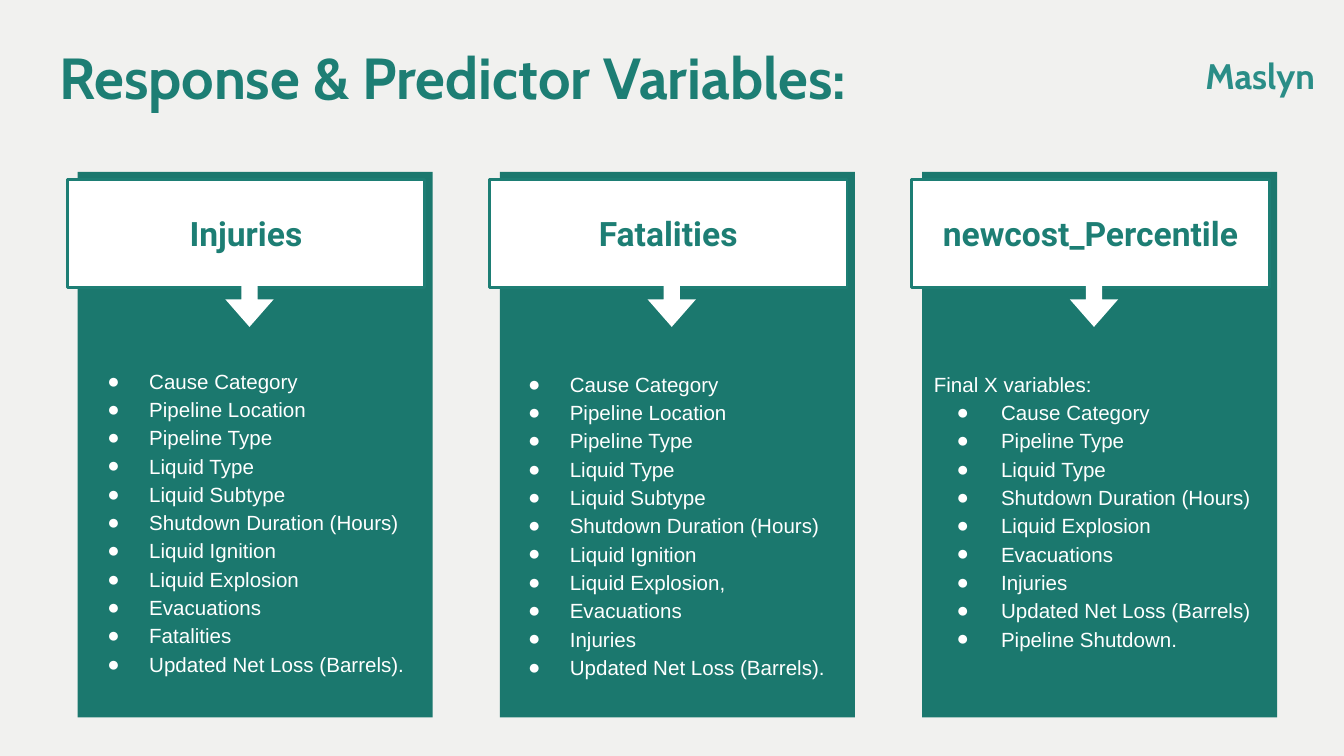
"""Build the response and predictor variables slide."""
from dataclasses import dataclass

from lxml import etree
from pptx import Presentation
from pptx import util as u
from pptx.dml.color import RGBColor
from pptx.enum import shapes, text
from pptx.oxml import ns

COLORS = {
    "page": "F1F1EF",
    "card": "1B786E",
    "accent": "1D7E74",
    "brand": "2A8D87",
    "white": "FFFFFF",
}
CARD_STEP = 7.98


@dataclass(frozen=True)
class Style:
    font: str
    size: float
    color: str
    bold: bool = True


@dataclass(frozen=True)
class Place:
    left: float
    top: float
    width: float
    height: float

    def lengths(self) -> tuple:
        return tuple(u.Cm(n) for n in (self.left, self.top, self.width, self.height))

    def shifted(self, distance: float) -> "Place":
        return Place(self.left + distance, self.top, self.width, self.height)


@dataclass(frozen=True)
class Card:
    heading: str
    variables: tuple[str, ...]
    place: Place
    hanging: float = 0.79
    intro: str = ""


TITLE = Style("Cabin", 31, "accent")
BRAND = Style("Cabin", 19, "brand")
HEADING = Style("Roboto", 18, "accent")
BODY = Style("Arial", 11, "white", False)

PANEL = Place(1.47, 3.25, 6.71, 10.31)
HEADER = Place(1.27, 3.4, 6.76, 2.03)
ARROW = Place(4.22, 5.23, 0.99, 0.91)

COMMON = ("Cause Category", "Pipeline Location", "Pipeline Type", "Liquid Type",
          "Liquid Subtype", "Shutdown Duration (Hours)", "Liquid Ignition")
CARDS = (
    Card("Injuries",
         COMMON + ("Liquid Explosion", "Evacuations", "Fatalities",
                   "Updated Net Loss (Barrels)."),
         Place(1.3, 6.65, 6.71, 6.2)),
    Card("Fatalities",
         COMMON + ("Liquid Explosion,", "Evacuations", "Injuries",
                   "Updated Net Loss (Barrels)."),
         Place(9.25, 6.71, 8.33, 6.4)),
    Card("newcost_Percentile",
         ("Cause Category", "Pipeline Type", "Liquid Type",
          "Shutdown Duration (Hours)", "Liquid Explosion", "Evacuations",
          "Injuries", "Updated Net Loss (Barrels)", "Pipeline Shutdown."),
         Place(17.4, 6.71, 8.33, 5.84), 0.84, "Final X variables:"),
)


def color(name: str) -> RGBColor:
    return RGBColor.from_string(COLORS[name])


def set_frame(frame, inset: float, anchor=text.MSO_ANCHOR.TOP) -> None:
    frame.word_wrap = True
    frame.auto_size = text.MSO_AUTO_SIZE.NONE
    frame.vertical_anchor = anchor
    frame.margin_left = frame.margin_right = u.Cm(inset)
    frame.margin_top = frame.margin_bottom = u.Cm(inset)


def add_span(para, words: str, style: Style) -> None:
    span = para.add_run()
    span.text = words
    span.font.name = style.font
    span.font.size = u.Pt(style.size)
    span.font.bold = style.bold
    span.font.color.rgb = color(style.color)


def write_line(frame, words: str, style: Style, spacing: float) -> None:
    set_frame(frame, 0)
    para = frame.paragraphs[0]
    para.alignment = text.PP_ALIGN.LEFT
    para.line_spacing = spacing
    add_span(para, words, style)


def add_bullet(para, hanging: float) -> None:
    props = para._p.get_or_add_pPr()
    props.set("marL", str(u.Cm(1.27)))
    props.set("indent", str(-u.Cm(hanging)))
    tint = etree.SubElement(props, ns.qn("a:buClr"))
    etree.SubElement(tint, ns.qn("a:srgbClr"), val=COLORS["white"])
    etree.SubElement(props, ns.qn("a:buFont"), typeface="Arial")
    etree.SubElement(props, ns.qn("a:buChar"), char="●")


def add_block(page, kind, place: Place, fill: str):
    block = page.shapes.add_shape(kind, *place.lengths())
    block.shadow.inherit = False
    block.fill.solid()
    block.fill.fore_color.rgb = color(fill)
    block.line.fill.background()
    return block


def add_card(page, card: Card, shift: float) -> None:
    rectangle = shapes.MSO_SHAPE.RECTANGLE
    add_block(page, rectangle, PANEL.shifted(shift), "card")

    header = add_block(page, rectangle, HEADER.shifted(shift), "white")
    header.line.color.rgb = color("accent")
    header.line.width = u.Pt(1.5)
    set_frame(header.text_frame, 0.25, text.MSO_ANCHOR.MIDDLE)
    para = header.text_frame.paragraphs[0]
    para.alignment = text.PP_ALIGN.CENTER
    add_span(para, card.heading, HEADING)

    arrow = add_block(page, shapes.MSO_SHAPE.RIGHT_ARROW, ARROW.shifted(shift), "white")
    arrow.rotation = 90
    arrow.adjustments[0] = 0.34
    arrow.adjustments[1] = 0.57


def add_variables(page, card: Card) -> None:
    frame = page.shapes.add_textbox(*card.place.lengths()).text_frame
    set_frame(frame, 0.25)
    lines = ((card.intro,) if card.intro else ()) + card.variables
    for index, words in enumerate(lines):
        para = frame.add_paragraph() if index else frame.paragraphs[0]
        if words != card.intro:
            add_bullet(para, card.hanging)
        para.line_spacing = 1.15
        add_span(para, words, BODY)


def main() -> None:
    deck = Presentation()
    deck.slide_width, deck.slide_height = u.Cm(25.4), u.Cm(14.29)
    page = deck.slides.add_slide(deck.slide_layouts[5])
    page.background.fill.solid()
    page.background.fill.fore_color.rgb = color("page")

    title = page.shapes.title
    title.left, title.top, title.width, title.height = Place(1.12, 0.66, 23.01, 1.32).lengths()
    write_line(title.text_frame, "Response & Predictor Variables:", TITLE, 1.09)

    brand = page.shapes.add_textbox(*Place(22.78, 0.71, 2.95, 0.81).lengths())
    write_line(brand.text_frame, "Maslyn", BRAND, 1.4)

    for index, card in enumerate(CARDS):
        add_card(page, card, index * CARD_STEP)
        add_variables(page, card)

    deck.save("out.pptx")


if __name__ == "__main__":
    main()
